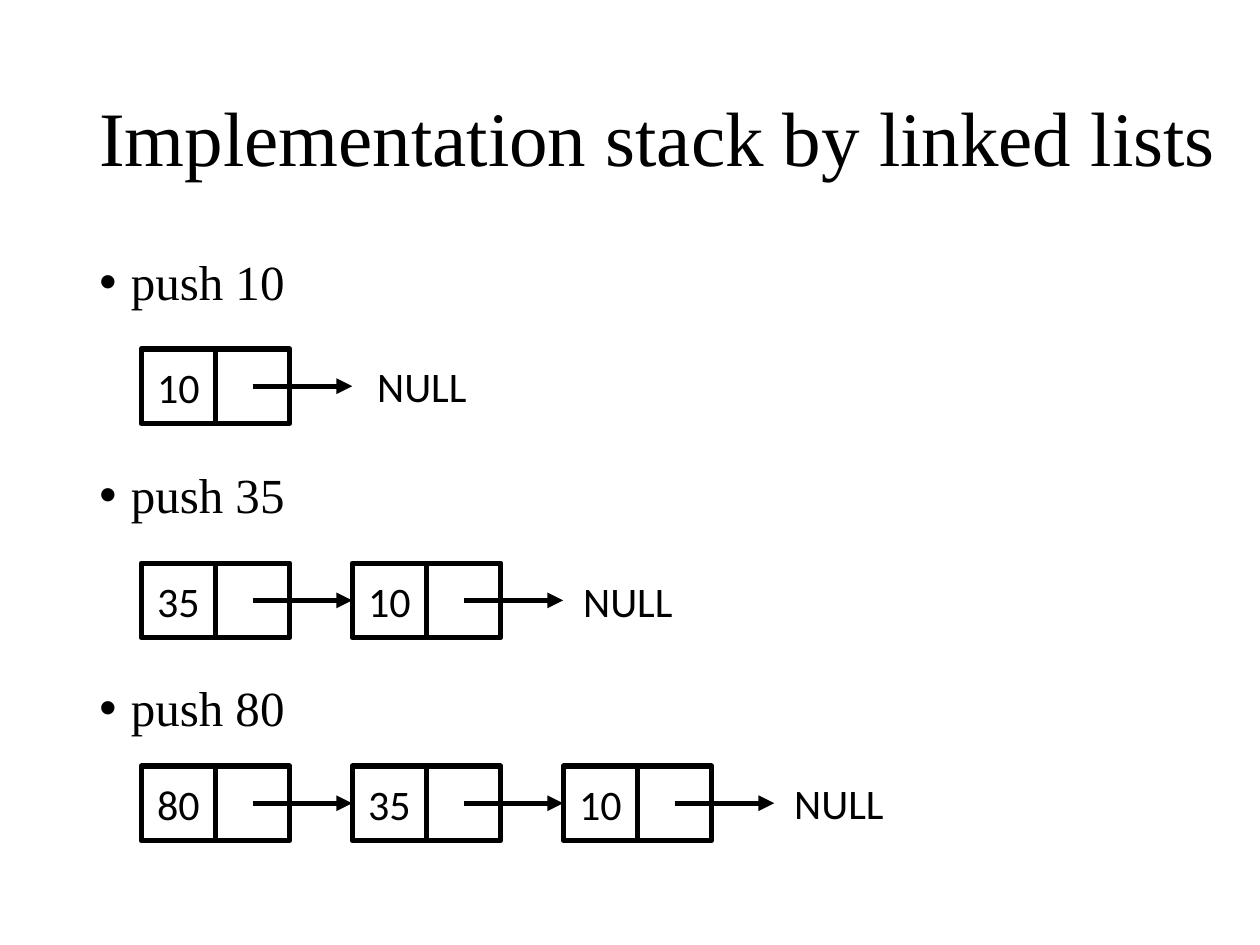
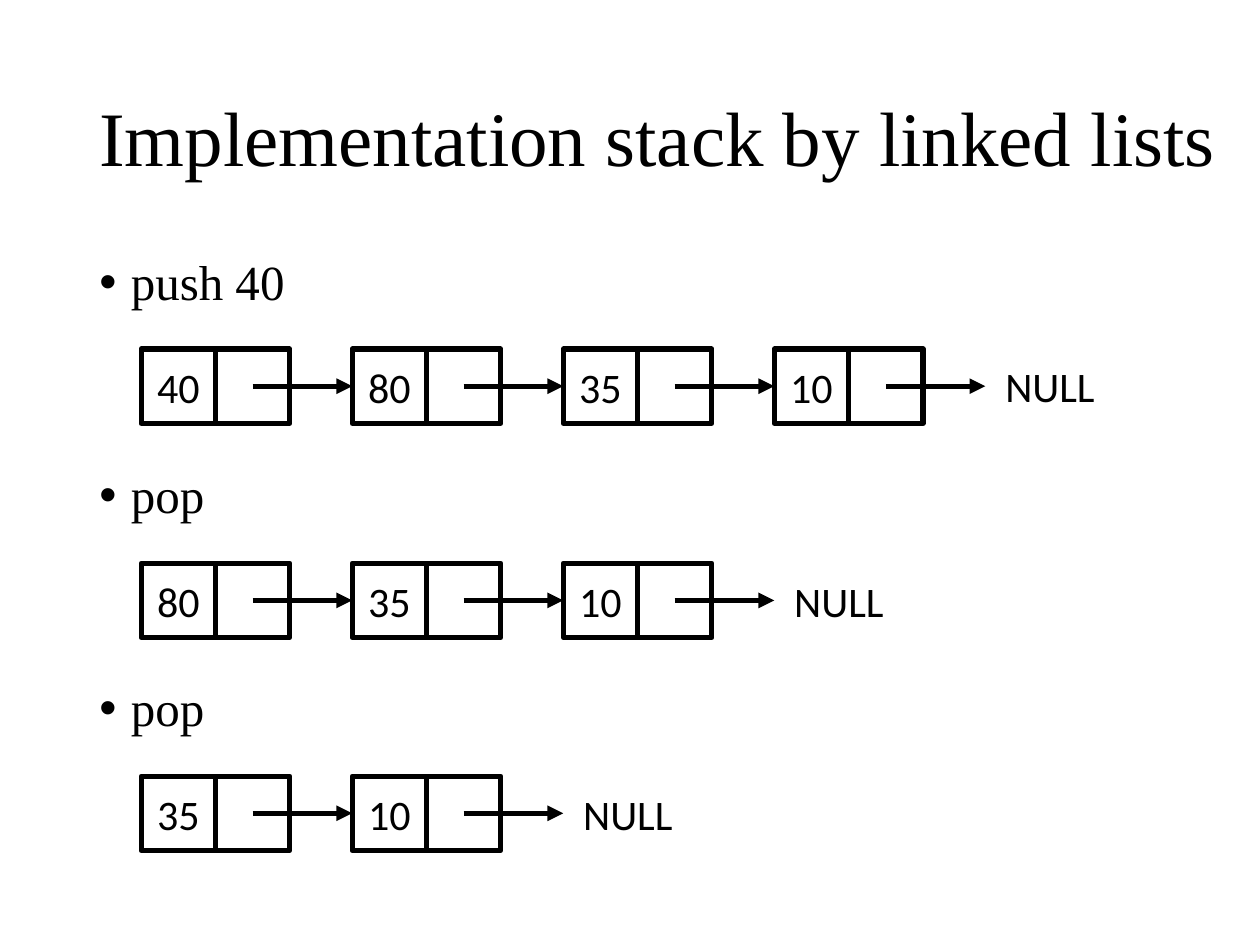
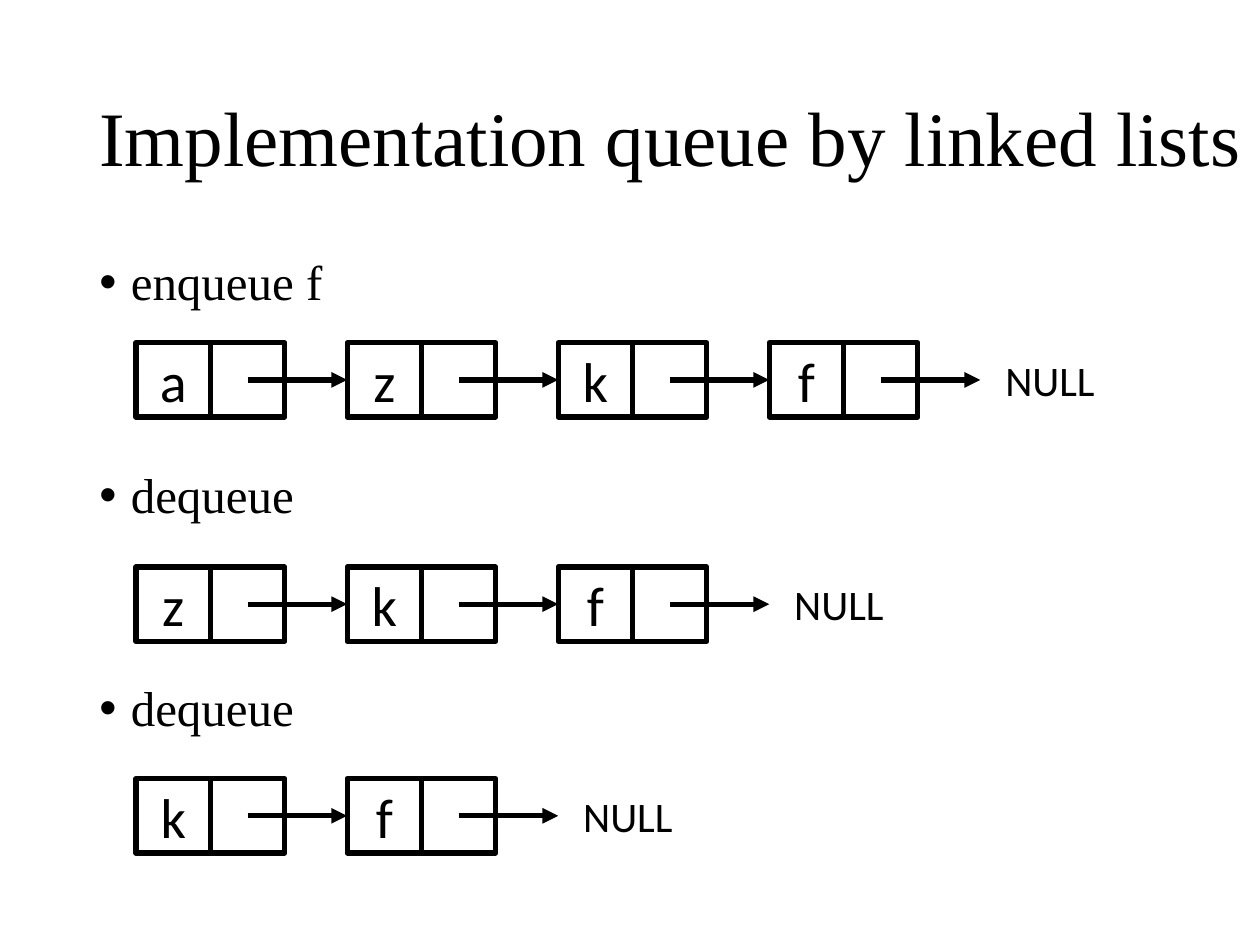
import pptx
import pptx.util
import pptx.dml.color
import pptx.enum.shapes
import pptx.enum.text
import pptx.oxml
import pptx.oxml.ns

Inches, Pt = pptx.util.Inches, pptx.util.Pt
ALIGN, ANCHOR = pptx.enum.text.PP_ALIGN, pptx.enum.text.MSO_ANCHOR

# Shared look
BLACK = pptx.dml.color.RGBColor(0, 0, 0)
SERIF, SANS = "Times New Roman", "Calibri"
LINE_WIDTH = Pt(3)

# Grid in inches: a node is two cells, its arrow starts mid-pointer
MARGIN = 0.69
CELL = 0.59
ARROW = 0.79
STEP = 1.5 * CELL + ARROW
LABEL_WIDTH, LABEL_HEIGHT = 0.92, 0.5

# Each step: operation, row top, gap before NULL, node values
STACK_TITLE = "Implementation stack by linked lists"
SLIDES = [
    dict(title=STACK_TITLE, title_width=9.22, left=1.12, value_size=24, steps=[
        ("push 10", 2.77, 0.1, ["10"]),
        ("push 35", 4.47, 0.06, ["35", "10"]),
        ("push 80", 6.08, 0.06, ["80", "35", "10"])]),
    dict(title=STACK_TITLE, title_width=9.22, left=1.12, value_size=24, steps=[
        ("push 40", 2.77, 0.06, ["40", "80", "35", "10"]),
        ("pop", 4.47, 0.06, ["80", "35", "10"]),
        ("pop", 6.16, 0.06, ["35", "10"])]),
    dict(title="Implementation queue by linked lists", title_width=9.31,
         left=1.08, value_size=32, steps=[
             ("enqueue f", 2.72, 0.1, ["a", "z", "k", "f"]),
             ("dequeue", 4.5, 0.1, ["z", "k", "f"]),
             ("dequeue", 6.18, 0.1, ["k", "f"])]),
]


def write(para, text, font=SANS, size=24, align=ALIGN.LEFT, spacing=1.0, before=0):
    para.alignment = align
    para.line_spacing = spacing
    para.space_before = Pt(before)
    span = para.add_run()
    span.text = text
    span.font.name = font
    span.font.size = Pt(size)
    span.font.color.rgb = BLACK


def add_xml(parent, tag, **attributes):
    child = pptx.oxml.parse_xml(f"<a:{tag} {pptx.oxml.ns.nsdecls('a')}/>")
    for name, value in attributes.items():
        child.set(name, value)
    parent.append(child)


deck = pptx.Presentation()
deck.slide_width, deck.slide_height = Inches(10), Inches(7.5)

for content in SLIDES:
    page = deck.slides.add_slide(deck.slide_layouts[6])

    # Title
    box = page.shapes.add_textbox(Inches(MARGIN), Inches(0.4),
                                  Inches(content["title_width"]), Inches(1.45))
    box.text_frame.word_wrap = True
    box.text_frame.vertical_anchor = ANCHOR.MIDDLE
    write(box.text_frame.paragraphs[0], content["title"], font=SERIF, size=44, spacing=0.9)

    # Bulleted operations, spaced to leave room for the diagrams
    box = page.shapes.add_textbox(Inches(MARGIN), Inches(2), Inches(8.62), Inches(4.76))
    frame = box.text_frame
    frame.word_wrap = True
    for index, (operation, *_) in enumerate(content["steps"]):
        para = frame.add_paragraph() if index else frame.paragraphs[0]
        write(para, operation, font=SERIF, size=28, spacing=0.9, before=91.6 if index else 10)
        properties = para._p.get_or_add_pPr()
        properties.set("marL", str(Inches(0.25)))
        properties.set("indent", str(-Inches(0.25)))
        add_xml(properties, "buFont", typeface="Arial")
        add_xml(properties, "buChar", char="•")

    # Linked lists
    for _, top, null_gap, values in content["steps"]:
        for index, value in enumerate(values):
            node_left = content["left"] + index * STEP
            node = page.shapes.add_group_shape()
            for column, text in enumerate([value, ""]):
                cell = node.shapes.add_shape(
                    pptx.enum.shapes.MSO_SHAPE.RECTANGLE,
                    Inches(node_left + column * CELL), Inches(top), Inches(CELL), Inches(CELL))
                cell.shadow.inherit = False
                cell.fill.background()
                cell.line.color.rgb = BLACK
                cell.line.width = LINE_WIDTH
                if text:
                    cell.text_frame.vertical_anchor = ANCHOR.MIDDLE
                    write(cell.text_frame.paragraphs[0], text,
                          size=content["value_size"], align=ALIGN.CENTER)

            # Pointer to the next node
            start, middle = node_left + 1.5 * CELL, Inches(top + CELL / 2)
            arrow = page.shapes.add_connector(
                pptx.enum.shapes.MSO_CONNECTOR.STRAIGHT,
                Inches(start), middle, Inches(start + ARROW), middle)
            arrow.line.color.rgb = BLACK
            arrow.line.width = LINE_WIDTH
            add_xml(arrow.line._get_or_add_ln(), "tailEnd", type="triangle")
            add_xml(arrow._element.spPr, "effectLst")

        # End of the list
        label = page.shapes.add_textbox(
            Inches(content["left"] + len(values) * STEP + null_gap),
            Inches(top + (CELL - LABEL_HEIGHT) / 2), Inches(LABEL_WIDTH), Inches(LABEL_HEIGHT))
        label.text_frame.word_wrap = False
        label.text_frame.auto_size = pptx.enum.text.MSO_AUTO_SIZE.SHAPE_TO_FIT_TEXT
        write(label.text_frame.paragraphs[0], "NULL")

deck.save("out.pptx")
